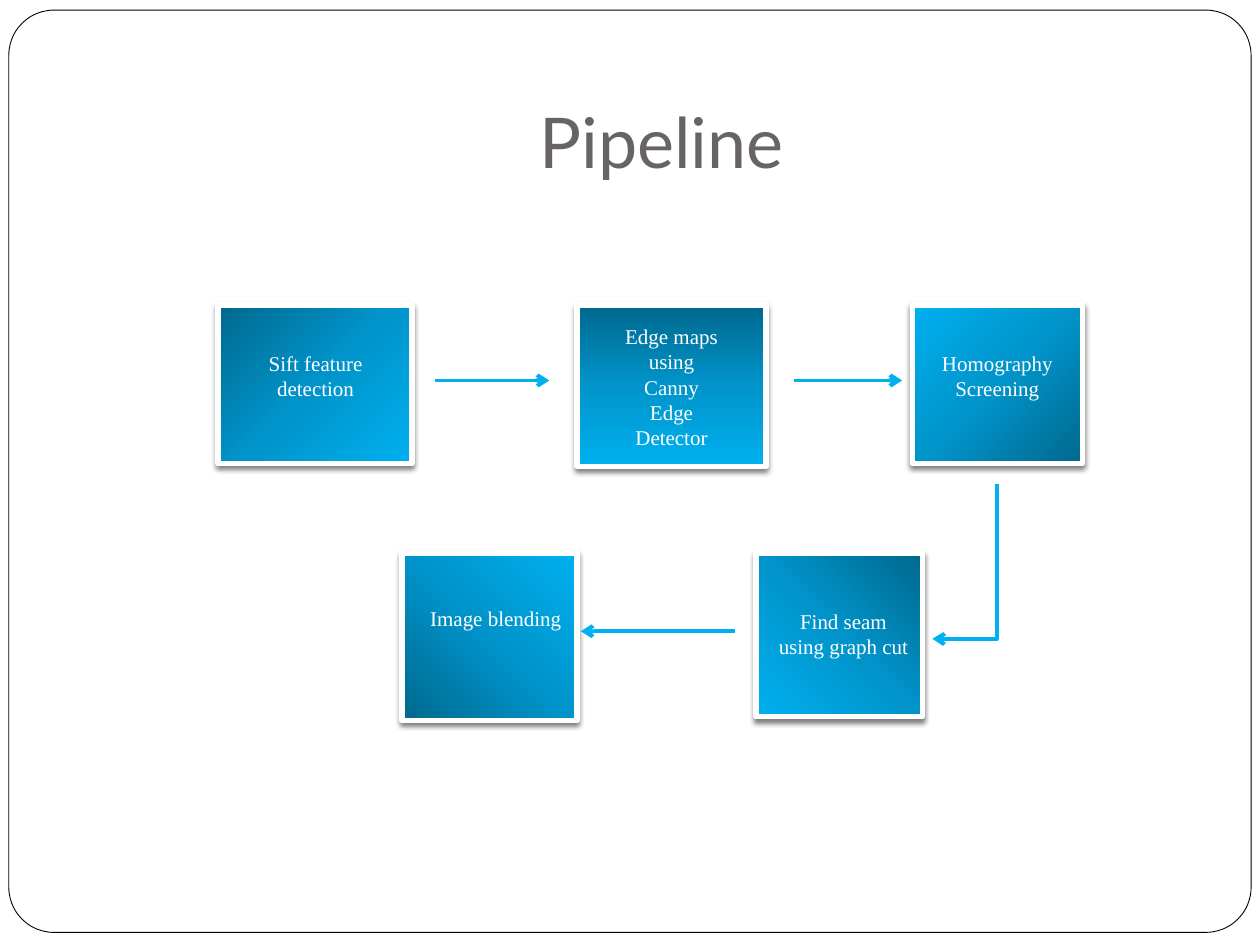
from dataclasses import dataclass

from lxml import etree
from pptx import Presentation
from pptx.dml.color import RGBColor
from pptx.enum.shapes import MSO_CONNECTOR, MSO_SHAPE
from pptx.enum.text import MSO_ANCHOR, PP_ALIGN
from pptx.oxml import parse_xml
from pptx.oxml.ns import nsdecls, qn
from pptx.util import Inches, Pt

RECT, ROUND_RECT = MSO_SHAPE.RECTANGLE, MSO_SHAPE.ROUNDED_RECTANGLE
STRAIGHT, ELBOW = MSO_CONNECTOR.STRAIGHT, MSO_CONNECTOR.ELBOW
TOP, BOTTOM = MSO_ANCHOR.TOP, MSO_ANCHOR.BOTTOM
CENTER = PP_ALIGN.CENTER


@dataclass(frozen=True)
class Theme:
    """Colours, fonts and sizes of the slide."""
    white: str = "FFFFFF"
    black: str = "000000"
    title: str = "696464"
    arrow: str = "00B0F0"
    gradient: tuple = ((0, "00688E"), (50, "0094CA"), (100, "00B0F0"))
    title_font: str = "Lato"
    label_font: str = "Times New Roman"
    title_size: int = 40
    label_size: int = 12
    frame_width: float = 0.5
    border_width: float = 3
    arrow_width: float = 2.25


THEME = Theme()
LINEAR = '<a:lin ang="{}" scaled="0"/>'
RADIAL = '<a:path path="circle"><a:fillToRect {}/></a:path>'
STEPS = [
    ("Sift feature detection", (1.73, 2.42, 1.54, 1.26),
     (1.78, 2.73, 1.45, 0.5), LINEAR.format(45 * 60000)),
    ("Edge maps using Canny Edge Detector", (4.58, 2.42, 1.5, 1.28),
     (4.83, 2.52, 1, 1.11), LINEAR.format(90 * 60000)),
    ("Find seam using graph cut", (6, 4.39, 1.32, 1.3),
     (6.08, 4.78, 1.23, 0.5), LINEAR.format(135 * 60000)),
    ("Homography Screening", (7.24, 2.42, 1.35, 1.26),
     (7.24, 2.73, 1.35, 0.5), RADIAL.format('l="100000" t="100000"')),
    ("Image blending", (3.19, 4.39, 1.39, 1.33),
     (3.28, 4.76, 1.31, 0.3), RADIAL.format('t="100000" r="100000"')),
]
ARROWS = [(3.45, 3.02, 4.36, 3.02), (6.3, 3.02, 7.16, 3.02),
          (5.83, 5.01, 4.61, 5.01)]


def inches(values):
    """Convert a sequence of numbers to lengths."""
    return [Inches(v) for v in values]


def add_text(s, box, text, *, font, size, color, anchor=TOP, bottom=0.05):
    """Add centred, wrapped text in a box."""
    tf = s.shapes.add_textbox(*inches(box)).text_frame
    tf.word_wrap = True
    tf.vertical_anchor = anchor
    tf.margin_bottom = Inches(bottom)
    p = tf.paragraphs[0]
    p.alignment = CENTER
    r = p.add_run()
    r.text = text
    r.font.name = font
    r.font.size = Pt(size)
    r.font.color.rgb = RGBColor.from_string(color)


def add_panel(s, kind, box, line, width):
    """Add a white shape with an outline and no shadow."""
    sp = s.shapes.add_shape(kind, *inches(box))
    sp.fill.solid()
    sp.fill.fore_color.rgb = RGBColor.from_string(THEME.white)
    sp.line.color.rgb = RGBColor.from_string(line)
    sp.line.width = Pt(width)
    sp.shadow.inherit = False
    return sp


def add_step(s, box, label_box, text, direction):
    """Add a gradient step box with its shadow and label."""
    sp = add_panel(s, RECT, box, THEME.white, THEME.border_width)
    sp_pr = sp._element.spPr
    stops = "".join(
        f'<a:gs pos="{pos * 1000}"><a:srgbClr val="{color}"/></a:gs>'
        for pos, color in THEME.gradient)
    sp_pr.replace(sp_pr.find(qn("a:solidFill")), parse_xml(
        f'<a:gradFill {nsdecls("a")} rotWithShape="1">'
        f'<a:gsLst>{stops}</a:gsLst>{direction}</a:gradFill>'))
    sp_pr.find(qn("a:effectLst")).append(parse_xml(
        f'<a:outerShdw {nsdecls("a")} blurRad="{Pt(3)}" dist="{Pt(2)}" '
        f'dir="5400000" rotWithShape="0"><a:srgbClr val="{THEME.black}">'
        '<a:alpha val="50000"/></a:srgbClr></a:outerShdw>'))
    add_text(s, label_box, text, font=THEME.label_font,
             size=THEME.label_size, color=THEME.white)


def add_arrow(s, kind, ends):
    """Add a connector with an open arrowhead at its end."""
    c = s.shapes.add_connector(kind, *inches(ends))
    c.line.color.rgb = RGBColor.from_string(THEME.arrow)
    c.line.width = Pt(THEME.arrow_width)
    sp_pr = c._element.spPr
    etree.SubElement(sp_pr.find(qn("a:ln")), qn("a:tailEnd"), type="arrow")
    etree.SubElement(sp_pr, qn("a:effectLst"))
    return c


def add_turn(s, box):
    """Add an arrow that runs down and then left, as a quarter-turned elbow."""
    x, y, w, h = box
    long, short = h, w
    left, top = x + (w - long) / 2, y + (h - short) / 2
    c = add_arrow(s, ELBOW, (left, top, left + long, top + short))
    sp_pr = c._element.spPr
    sp_pr.find(qn("a:xfrm")).set("rot", "5400000")
    geom = sp_pr.find(qn("a:prstGeom"))
    guides = geom.find(qn("a:avLst"))
    if guides is None:
        guides = etree.SubElement(geom, qn("a:avLst"))
    etree.SubElement(guides, qn("a:gd"), name="adj1", fmla="val 100200")


def add_frame(s, box):
    """Add the rounded frame around the slide."""
    sp = add_panel(s, ROUND_RECT, box, THEME.black, THEME.frame_width)
    sp.adjustments[0] = 0.049


def add_pipeline(s):
    """Add the steps and the arrows between them."""
    for text, box, label_box, direction in STEPS:
        add_step(s, box, label_box, text, direction)
    for ends in ARROWS:
        add_arrow(s, STRAIGHT, ends)
    add_turn(s, (7.4, 3.84, 0.51, 1.23))


def main():
    """Build and save the slide."""
    prs = Presentation()
    prs.slide_width, prs.slide_height = Inches(10), Inches(7.5)
    s = prs.slides.add_slide(prs.slide_layouts[6])
    add_frame(s, (0.07, 0.08, 9.86, 7.32))
    add_text(s, (1, 0.3, 8.5, 1.25), "Pipeline", font=THEME.title_font,
             size=THEME.title_size, color=THEME.title, anchor=BOTTOM,
             bottom=0.1)
    add_pipeline(s)
    prs.save("out.pptx")


if __name__ == "__main__":
    main()
